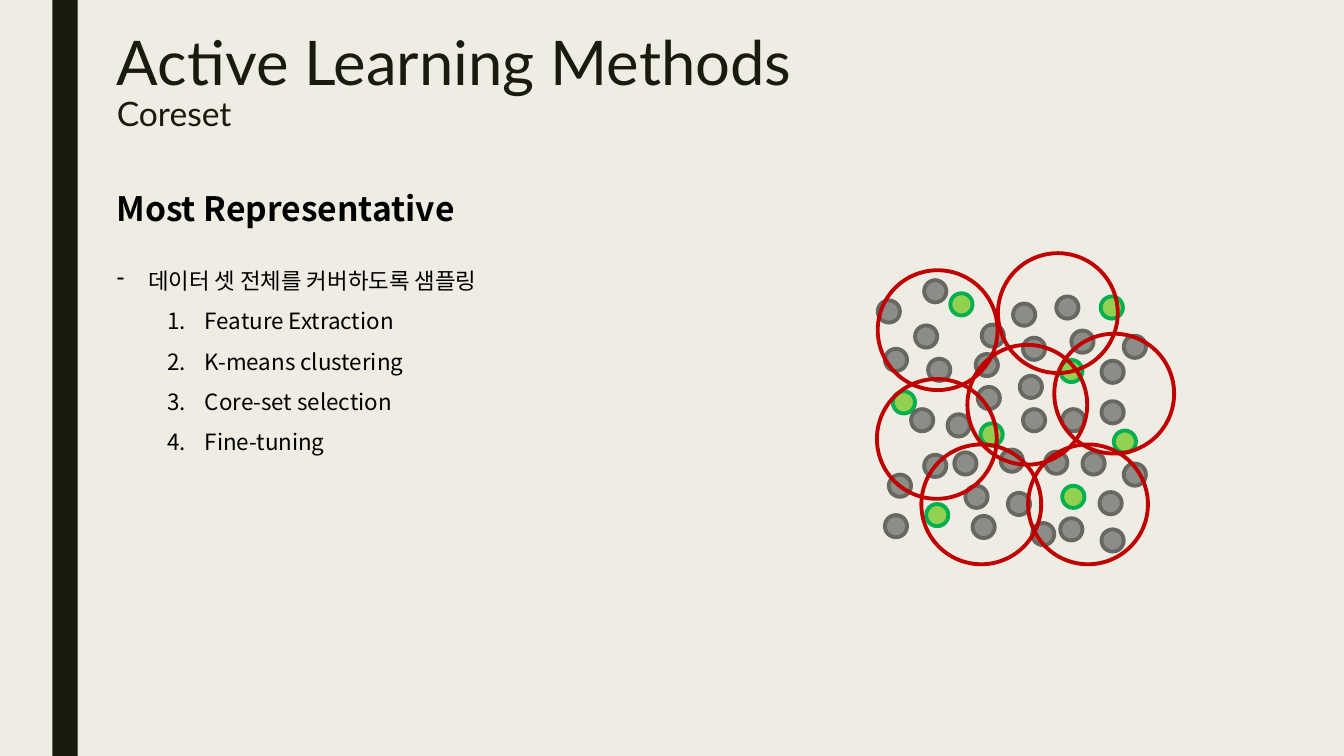
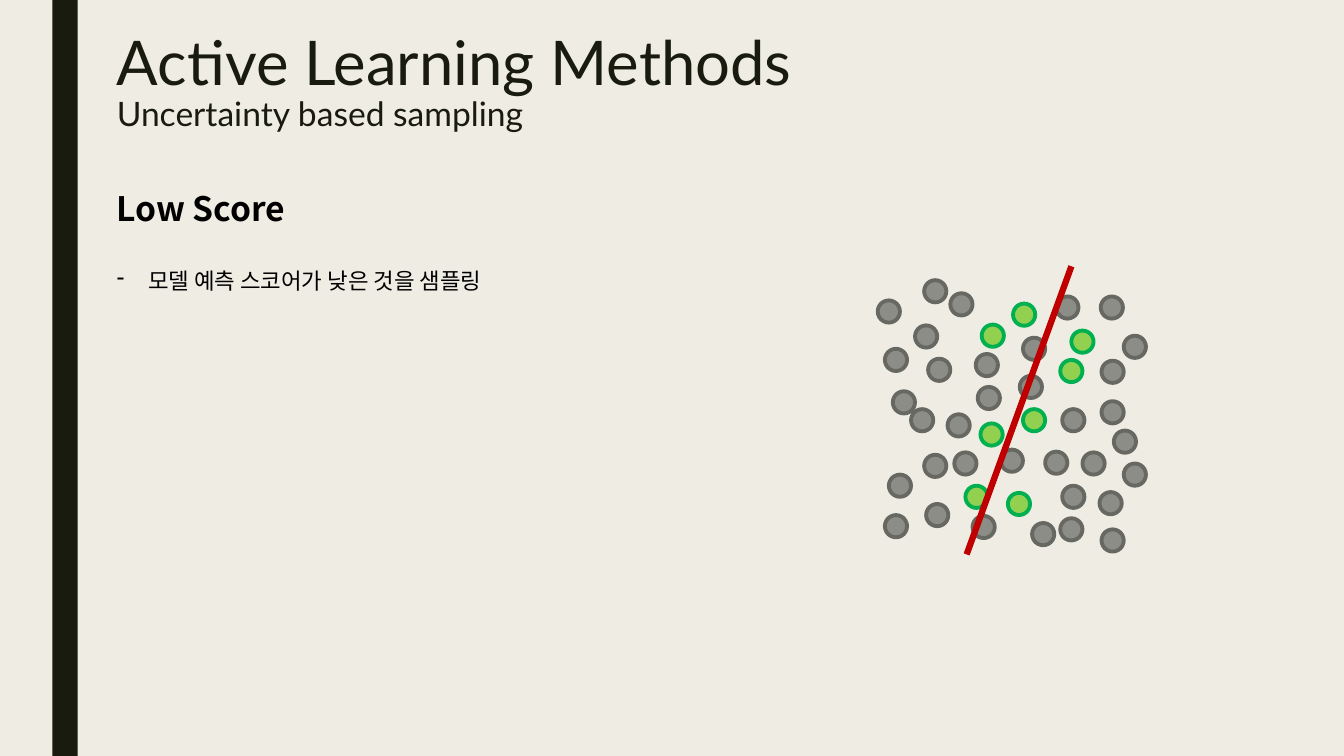
from lxml.etree import SubElement
from pptx import Presentation
from pptx.dml.color import RGBColor
from pptx.enum.shapes import MSO_CONNECTOR, MSO_SHAPE
from pptx.enum.text import MSO_ANCHOR, MSO_AUTO_SIZE, PP_ALIGN
from pptx.oxml.ns import qn
from pptx.util import Cm, Pt

CREAM = RGBColor(0xEF, 0xED, 0xE3)
INK = RGBColor(0x19, 0x1B, 0x0E)
BLACK = RGBColor(0x00, 0x00, 0x00)
GRAY = RGBColor(0x8C, 0x8D, 0x86)
DARK_GRAY = RGBColor(0x68, 0x68, 0x63)
LIME = RGBColor(0x92, 0xD0, 0x50)
GREEN = RGBColor(0x00, 0xB0, 0x50)
RED = RGBColor(0xC0, 0x00, 0x00)

TITLE_FONT, BODY_FONT = "Lato", "Noto Sans CJK KR"
TITLE = "Active Learning Methods"

# Positions and sizes in centimetres
BAR_BOX = (1.32, 0, 0.64, 19.05)
TITLE_BOX = (2.69, 0.69, 28.35, 3.12)
HEADING_BOX = (2.69, 4.62, 14.48, 1.27)
LIST_BOX = (2.69, 6.27, 14.25, 5.26)
DOT_SIZE, COVER_SIZE = 0.56, 3.02

# Top left corner of each sample in the scatter
DOTS = [
    (22.12, 7.57), (22.4, 11.96), (22.5, 9.86), (22.3, 8.79), (23.39, 9.04),
    (23.29, 11.46), (27.76, 13.34), (23.88, 10.44), (25.22, 11.33), (24.05, 11.4),
    (24.51, 13), (26.72, 13.06), (26.77, 10.31), (25.78, 8.51), (26.34, 11.38),
    (27.76, 10.11), (22.3, 12.98), (24.74, 8.18), (22.96, 10.31), (23.06, 8.2),
    (23.29, 7.06), (23.95, 7.39), (24.59, 8.92), (28.32, 11.68), (25.53, 7.65),
    (25.78, 10.31), (24.64, 9.75), (25.4, 12.42), (27.28, 11.4), (27, 8.33),
    (27.74, 7.47), (26.72, 9.07), (28.32, 8.46), (23.34, 12.7), (25.7, 9.47),
    (26.77, 12.24), (27.76, 9.09), (24.33, 12.24), (24.71, 10.67), (26.01, 13.18),
    (26.62, 7.47), (27.71, 12.4), (28.07, 10.85),
]

SLIDES = [
    {
        "subtitle": "Coreset",
        "heading": "Most Representative",
        "point": "데이터 셋 전체를 커버하도록 샘플링",
        "steps": ["Feature Extraction", "K-means clustering",
                  "Core-set selection", "Fine-tuning"],
        "picked": {2, 21, 30, 31, 33, 35, 38, 42},
        "covers": [(22.12, 6.81), (22.1, 9.55), (23.22, 11.2), (25.91, 11.2),
                   (24.38, 8.69), (26.57, 8.41), (25.15, 6.38)],
        "boundary": None,
    },
    {
        "subtitle": "Uncertainty based sampling",
        "heading": "Low Score",
        "point": "모델 예측 스코어가 낮은 것을 샘플링",
        "steps": [],
        "picked": {17, 24, 25, 27, 29, 31, 37, 38},
        "covers": [],
        "boundary": (27, 6.71, 24.36, 13.97),
    },
]


def cm(values):
    return [Cm(v) for v in values]


def place(shape, box):
    shape.left, shape.top, shape.width, shape.height = cm(box)


def add_run(p, text, face, **font):
    r = p.add_run()
    r.text = text
    color = font.pop("color")
    for name, value in {"name": face, **font}.items():
        setattr(r.font, name, value)
    r.font.color.rgb = color
    SubElement(r.font._element, qn("a:ea"), typeface=face)


def add_circle(shapes, corner, size, line, fill=None):
    s = shapes.add_shape(MSO_SHAPE.OVAL, *cm((*corner, size, size)))
    s.shadow.inherit = False
    if fill is None:
        s.fill.background()
    else:
        s.fill.solid()
        s.fill.fore_color.rgb = fill
    s.line.color.rgb = line
    s.line.width = Pt(2.75)


def add_list_item(p, text, margin, hanging, tag, **bullet):
    pPr = p._p.get_or_add_pPr()
    pPr.set("marL", str(Cm(margin)))
    pPr.set("indent", str(-Cm(hanging)))
    SubElement(pPr, qn("a:buFontTx"))
    SubElement(pPr, qn(tag), **bullet)
    p.line_spacing = 1.5
    p.space_before = Pt(0)
    add_run(p, text, BODY_FONT, size=Pt(16), color=BLACK)


def set_up_template(prs):
    """Give every slide the background, side bar and placeholder places."""
    master, layout = prs.slide_master, prs.slide_layouts[1]
    master.background.fill.solid()
    master.background.fill.fore_color.rgb = CREAM
    for ph, box in zip(layout.placeholders, (TITLE_BOX, LIST_BOX)):
        place(ph, box)
        ph.text_frame.vertical_anchor = MSO_ANCHOR.TOP
        ph.text_frame.auto_size = MSO_AUTO_SIZE.NONE
    return layout


def move_to_master(prs, shape):
    prs.slide_master.shapes.element.insert(2, shape.element)


def add_side_bar(prs, slide):
    bar = slide.shapes.add_shape(MSO_SHAPE.RECTANGLE, *cm(BAR_BOX))
    bar.shadow.inherit = False
    bar.fill.solid()
    bar.fill.fore_color.rgb = INK
    bar.line.fill.background()
    move_to_master(prs, bar)


def add_texts(slide, content):
    p = slide.shapes.title.text_frame.paragraphs[0]
    p.alignment = PP_ALIGN.LEFT
    p.line_spacing = 0.89
    add_run(p, TITLE, TITLE_FONT, size=Pt(44), color=INK)
    p.add_line_break()
    add_run(p, content["subtitle"], TITLE_FONT, size=Pt(24), color=INK)

    tf = slide.shapes.add_textbox(*cm(HEADING_BOX)).text_frame
    tf.word_wrap = True
    add_run(tf.paragraphs[0], content["heading"], BODY_FONT,
            size=Pt(24), bold=True, color=BLACK)

    tf = slide.placeholders[1].text_frame
    add_list_item(tf.paragraphs[0], content["point"], 0.79, 0.79,
                  "a:buChar", char="-")
    for step in content["steps"]:
        p = tf.add_paragraph()
        p.level = 1
        add_list_item(p, step, 2.22, 0.95, "a:buAutoNum", type="arabicPeriod")


def add_scatter(slide, content):
    group = slide.shapes.add_group_shape()
    for i, corner in enumerate(DOTS):
        line, fill = (GREEN, LIME) if i in content["picked"] else (DARK_GRAY, GRAY)
        add_circle(group.shapes, corner, DOT_SIZE, line, fill)
    if content["boundary"]:
        c = group.shapes.add_connector(MSO_CONNECTOR.STRAIGHT,
                                       *cm(content["boundary"]))
        c.line.color.rgb = RED
        c.line.width = Pt(4.5)
        SubElement(c.element.spPr, qn("a:effectLst"))
    for corner in content["covers"]:
        add_circle(slide.shapes, corner, COVER_SIZE, RED)


def main():
    prs = Presentation()
    prs.slide_width, prs.slide_height = Cm(33.87), Cm(19.05)
    layout = set_up_template(prs)
    for i, content in enumerate(SLIDES):
        slide = prs.slides.add_slide(layout)
        if i == 0:
            add_side_bar(prs, slide)
        add_texts(slide, content)
        add_scatter(slide, content)
    prs.save("out.pptx")


if __name__ == "__main__":
    main()
